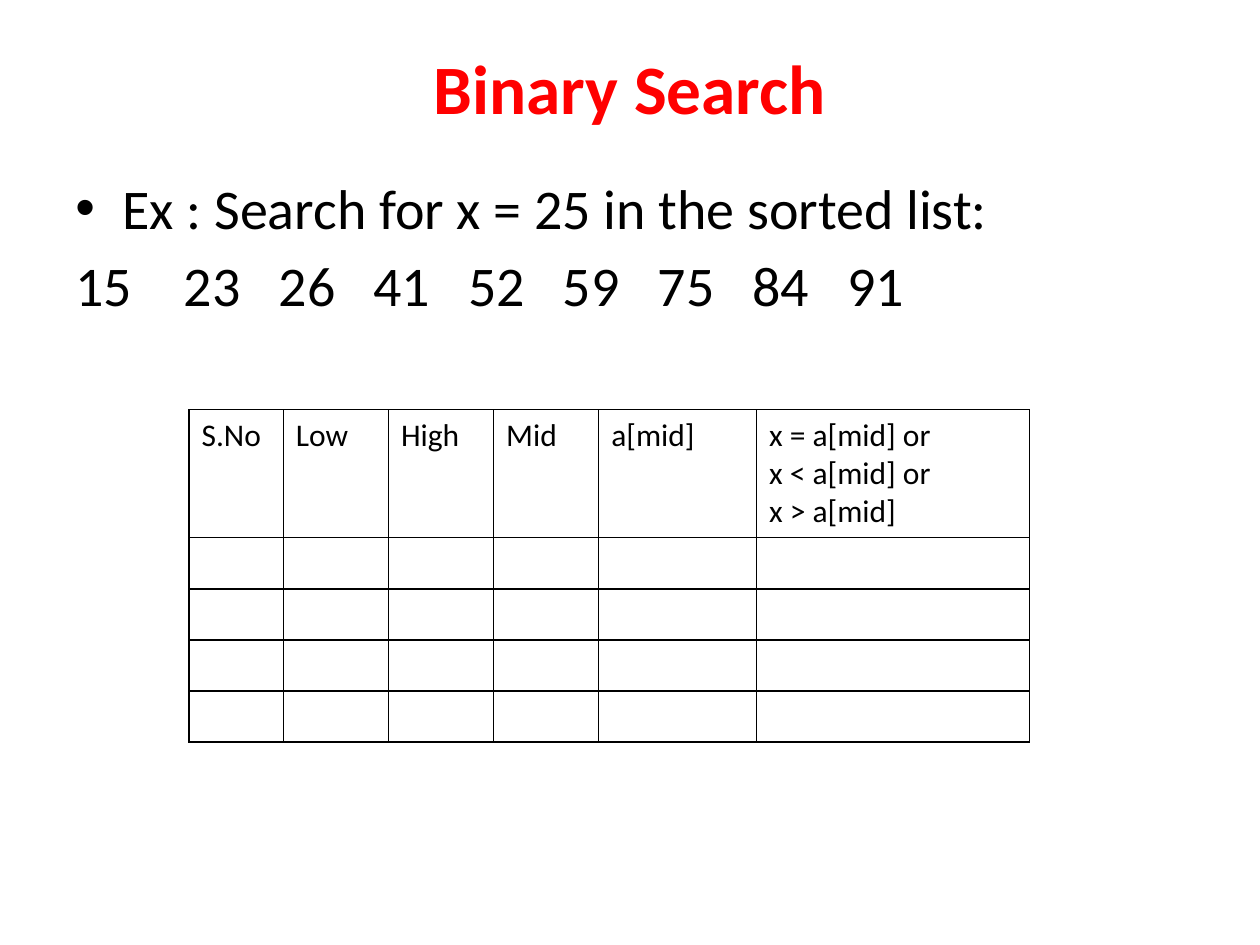
from lxml.etree import SubElement
from pptx import Presentation
from pptx.dml.color import RGBColor
from pptx.enum.text import MSO_ANCHOR, PP_ALIGN
from pptx.oxml.ns import qn
from pptx.util import Cm, Pt

RED = RGBColor(0xFF, 0x00, 0x00)
BLACK = RGBColor(0x00, 0x00, 0x00)


def style(paragraph, size, color=BLACK, bold=False):
    for run in paragraph.runs:
        font = run.font
        font.name, font.size, font.bold = "Calibri", Pt(size), bold
        font.color.rgb = color


def add_text(left, top, width, height, lines):
    frame = slide.shapes.add_textbox(Cm(left), Cm(top), Cm(width), Cm(height)).text_frame
    frame.word_wrap = True
    frame.text = "\n".join(lines)
    return frame


prs = Presentation()
prs.slide_width, prs.slide_height = Cm(25.4), Cm(19.05)
slide = prs.slides.add_slide(prs.slide_layouts[6])

# Title
title = add_text(1.27, 0.76, 22.86, 1.98, ["Binary Search"])
title.vertical_anchor = MSO_ANCHOR.MIDDLE
title.paragraphs[0].alignment = PP_ALIGN.CENTER
style(title.paragraphs[0], 39.6, RED, True)

# Task and sorted list
numbers = [15, 23, 26, 41, 52, 59, 75, 84, 91]
body = add_text(1.27, 3.38, 22.86, 13.64,
                ["Ex : Search for x = 25 in the sorted list:", "\t".join(map(str, numbers))])
for paragraph in body.paragraphs:
    paragraph.space_before = Pt(5.5)
    style(paragraph, 32)

task, sorted_list = (paragraph._p.get_or_add_pPr() for paragraph in body.paragraphs)
task.set("marL", str(Cm(0.95)))
task.set("indent", str(Cm(-0.95)))
SubElement(task, qn("a:buFont"), typeface="Arial")
SubElement(task, qn("a:buChar"), char="•")

tabs = SubElement(sorted_list, qn("a:tabLst"))
for i in range(len(numbers) - 1):
    SubElement(tabs, qn("a:tab"), pos=str(Cm(2.19 + 1.91 * i)), algn="l")

# Trace table, left empty below its header
headers = ["S.No", "Low", "High", "Mid", "a[mid]",
           "x = a[mid] or\nx < a[mid] or\nx > a[mid]"]
widths = [1.9, 2.12, 2.12, 2.12, 3.18, 5.5]
heights = [2.58] + [1.03] * 4
trace = slide.shapes.add_table(len(heights), len(widths), Cm(3.81), Cm(8.26),
                               Cm(sum(widths)), Cm(sum(heights))).table
trace.first_row = trace.horz_banding = False
for column, width in zip(trace.columns, widths):
    column.width = Cm(width)
for row, height in zip(trace.rows, heights):
    row.height = Cm(height)
for cell, header in zip(trace.rows[0].cells, headers):
    cell.text = header
    for paragraph in cell.text_frame.paragraphs:
        style(paragraph, 18)

# Cell borders
for cell in trace.iter_cells():
    properties = cell._tc.get_or_add_tcPr()
    for side in ("lnL", "lnR", "lnT", "lnB"):
        border = SubElement(properties, qn(f"a:{side}"), w=str(Pt(1)))
        fill = SubElement(border, qn("a:solidFill"))
        SubElement(fill, qn("a:srgbClr"), val=str(BLACK))
    cell.fill.background()

prs.save("out.pptx")
